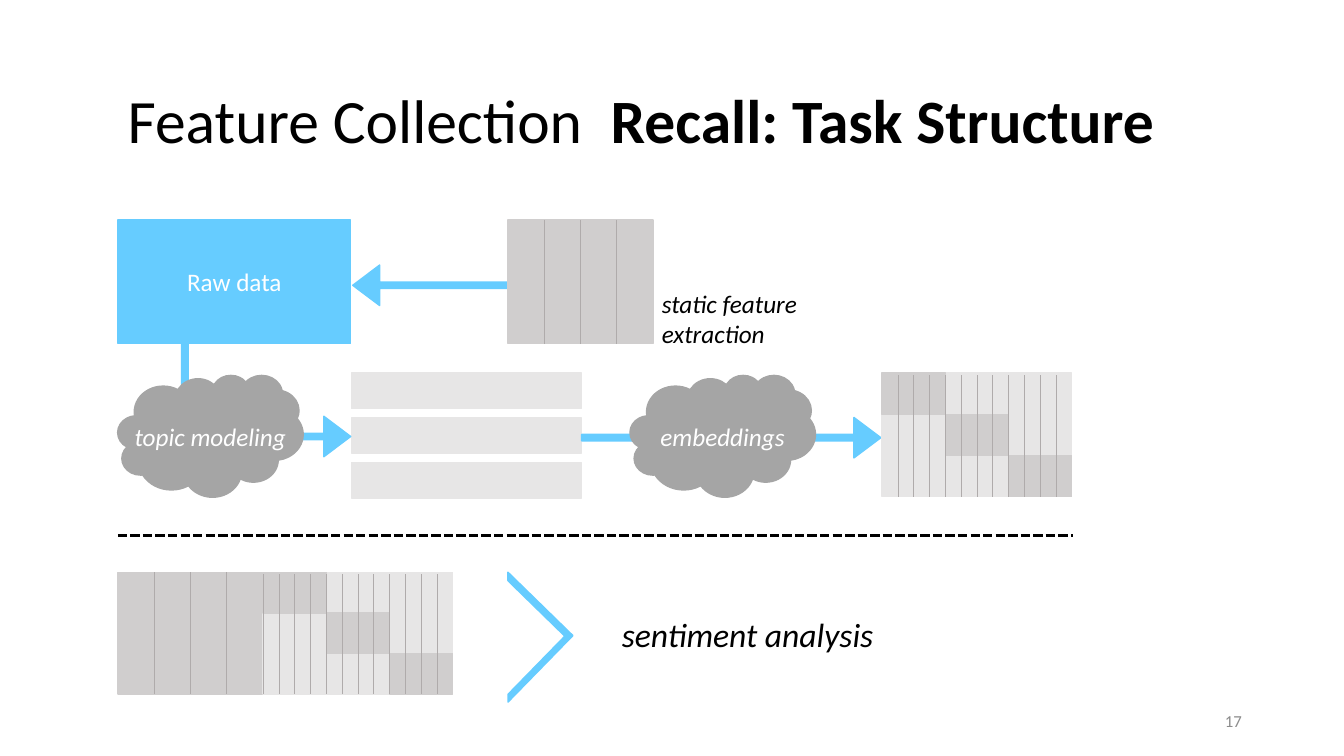
from dataclasses import dataclass

from lxml import etree
from pptx import Presentation
from pptx import util as u
from pptx.dml.color import RGBColor
from pptx.enum import dml, shapes, text
from pptx.oxml import ns

Cm, Pt = u.Cm, u.Pt
SHAPE = shapes.MSO_SHAPE
ALIGN = text.PP_ALIGN


@dataclass(frozen=True)
class Theme:
    font: str = "Calibri"
    accent: str = "66CCFF"
    cloud: str = "A5A5A5"
    dark: str = "D0CECE"
    light: str = "E7E6E6"
    divider: str = "AFABAB"
    ink: str = "000000"
    paper: str = "FFFFFF"
    muted: str = "8C8C8C"
    title: int = 44
    result: int = 24
    label: int = 18
    small: int = 12


THEME = Theme()


def rgb(value):
    return RGBColor.from_string(value)


def write(tf, runs, size, color, align=ALIGN.LEFT, italic=False):
    """Fill a text frame with one paragraph made of (text, bold) runs."""
    tf.word_wrap = True
    tf.vertical_anchor = text.MSO_ANCHOR.MIDDLE
    p = tf.paragraphs[0]
    p.alignment = align
    p.font.name = THEME.font
    p.font.size = Pt(size)
    p.font.italic = italic
    p.font.color.rgb = rgb(color)
    for words, bold in runs:
        r = p.add_run()
        r.text = words
        if bold:
            r.font.bold = True
    return p


def add_label(s, box, words, size, color, align=ALIGN.LEFT, italic=True):
    tb = s.shapes.add_textbox(*map(Cm, box))
    write(tb.text_frame, [(words, False)], size, color, align, italic)


def add_title(s, box, runs):
    tb = s.shapes.add_textbox(*map(Cm, box))
    p = write(tb.text_frame, runs, THEME.title, THEME.ink)
    p.line_spacing = 0.9


def add_block(s, kind, box, color, adjustments=()):
    sp = s.shapes.add_shape(kind, *map(Cm, box))
    sp.shadow.inherit = False
    sp.fill.solid()
    sp.fill.fore_color.rgb = rgb(color)
    sp.line.color.rgb = rgb(color)
    sp.line.width = Pt(1)
    for i, value in enumerate(adjustments):
        sp.adjustments[i] = value
    return sp


def add_arrow(s, kind, box):
    add_block(s, kind, box, THEME.accent, (0.16, 0.665))


def add_line(s, x1, y1, x2, y2, color, width, dash=None):
    line = s.shapes.add_connector(shapes.MSO_CONNECTOR.STRAIGHT, Cm(x1), Cm(y1), Cm(x2), Cm(y2))
    line.line.color.rgb = rgb(color)
    line.line.width = Pt(width)
    if dash:
        line.line.dash_style = dash
    etree.SubElement(line._element.spPr, ns.qn("a:effectLst"))


def add_dividers(s, box, columns, first=1):
    """Split a box into equal columns with thin vertical lines."""
    left, top, width, height = box
    for i in range(first, columns):
        x = left + width * i / columns
        add_line(s, x, top, x, top + height, THEME.divider, 0.5)


def add_static_features(s, box):
    add_block(s, SHAPE.RECTANGLE, box, THEME.dark)
    add_dividers(s, box, 4)


def add_embedding_matrix(s, box, first=1):
    """Light matrix with three dark blocks down its diagonal."""
    left, top, width, height = box
    add_block(s, SHAPE.RECTANGLE, box, THEME.light)
    w, h = width / 3, height / 3
    for i in range(3):
        add_block(s, SHAPE.RECTANGLE, (left + i * w, top + i * h, w, h), THEME.dark)
    add_dividers(s, (left, top + 0.05, width, height - 0.05), 12, first)


def add_cloud(s, left, words):
    add_block(s, SHAPE.CLOUD, (left, 9.45, 4.67, 3.07), THEME.cloud)
    add_label(s, (left - 0.06, 10.39, 4.78, 1.24), words, THEME.label, THEME.paper, ALIGN.CENTER)


def add_collection(s):
    raw = add_block(s, SHAPE.RECTANGLE, (2.97, 5.54, 5.87, 3.12), THEME.accent)
    write(raw.text_frame, [("Raw data", False)], THEME.label, THEME.paper, ALIGN.CENTER)
    add_arrow(s, SHAPE.LEFT_ARROW, (8.89, 6.68, 3.91, 1.02))
    add_static_features(s, (12.8, 5.54, 3.66, 3.12))
    add_label(s, (16.43, 7.29, 4.9, 1.47), "static feature extraction", THEME.label, THEME.ink)

    for i in range(3):
        add_block(s, SHAPE.RECTANGLE, (8.86, 9.4 + 1.13 * i, 5.79, 0.89), THEME.light)
    add_arrow(s, SHAPE.RIGHT_ARROW, (4.67, 10.49, 4.17, 1.02))
    add_arrow(s, SHAPE.DOWN_ARROW, (4.15, 8.65, 1.02, 3.02))
    add_cloud(s, 2.97, "topic modeling")
    add_arrow(s, SHAPE.RIGHT_ARROW, (14.66, 10.52, 7.54, 1.02))
    add_cloud(s, 15.88, "embeddings")
    add_embedding_matrix(s, (22.23, 9.4, 4.78, 3.12))


def add_analysis(s):
    add_static_features(s, (2.97, 14.42, 3.66, 3.07))
    add_embedding_matrix(s, (6.63, 14.42, 4.78, 3.07), first=0)
    chevron = add_block(s, SHAPE.HALF_FRAME, (11.63, 14.91, 2.34, 2.29), THEME.accent, (0.06, 0.067))
    chevron.rotation = 134.3
    add_label(s, (15.42, 15.24, 7.72, 1.47), "sentiment analysis", THEME.result, THEME.ink)


def main():
    prs = Presentation()
    prs.slide_width, prs.slide_height = Cm(33.87), Cm(19.05)
    s = prs.slides.add_slide(prs.slide_layouts[6])
    add_title(s, (2.97, 1.55, 28.58, 3.12),
              [("Feature Collection  ", False), ("Recall: Task Structure", True)])
    add_collection(s)
    add_line(s, 2.97, 13.49, 27.03, 13.49, THEME.ink, 2.25, dml.MSO_LINE.SQUARE_DOT)
    add_analysis(s)
    add_label(s, (23.93, 17.65, 7.62, 1.02), "17", THEME.small, THEME.muted, ALIGN.RIGHT, italic=False)
    prs.save("out.pptx")


if __name__ == "__main__":
    main()
